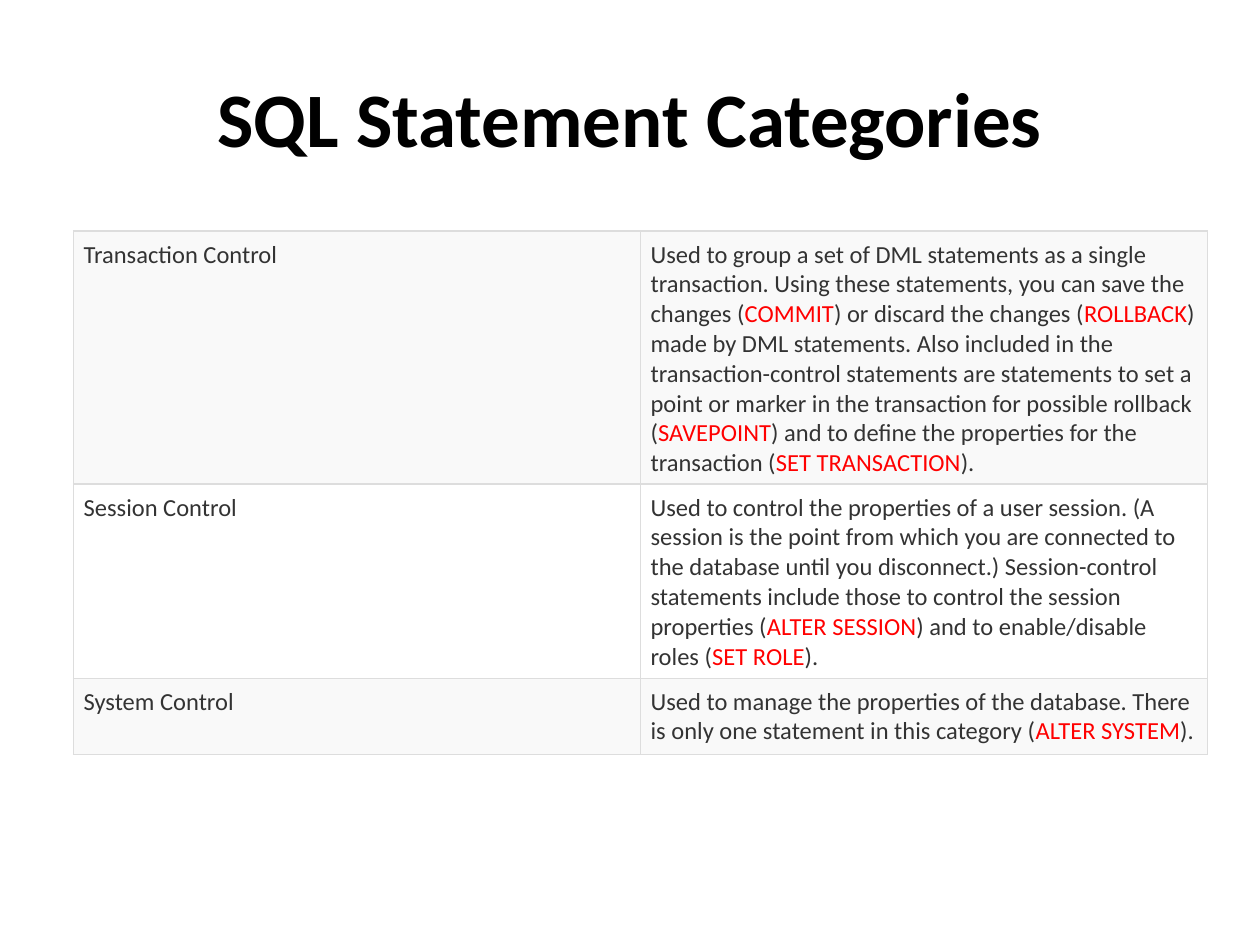
from lxml import etree
from pptx import Presentation
from pptx import util as u
from pptx.dml.color import RGBColor
from pptx.enum import text
from pptx.oxml.ns import qn

COLORS = {"title": "000000", "body": "333333", "keyword": "FF0000",
          "border": "DDDDDD", "odd_row": "F9F9F9", "even_row": "FFFFFF"}

# Each row: height, category, description with keywords between bars.
CATEGORIES = [
    (142, "Transaction Control",
     "Used to group a set of DML statements as a single transaction. Using these "
     "statements, you can save the changes (|COMMIT|) or discard the changes "
     "(|ROLLBACK|) made by DML statements. Also included in the transaction-control "
     "statements are statements to set a point or marker in the transaction for "
     "possible rollback (|SAVEPOINT|) and to define the properties for the "
     "transaction (|SET TRANSACTION|)."),
    (109, "Session Control",
     "Used to control the properties of a user session. (A session is the point from "
     "which you are connected to the database until you disconnect.) Session-control "
     "statements include those to control the session properties (|ALTER SESSION|) "
     "and to enable/disable roles (|SET ROLE|)."),
    (43, "System Control",
     "Used to manage the properties of the database. There is only one statement in "
     "this category (|ALTER SYSTEM|)."),
]


class SlideBuilder:
    def __init__(self, slide, font="Calibri"):
        self.slide = slide
        self.font = font

    def add_span(self, para, words, size, color, bold=False):
        span = para.add_run()
        span.text = words
        span.font.name = self.font
        span.font.size = u.Pt(size)
        span.font.bold = bold
        span.font.color.rgb = RGBColor.from_string(COLORS[color])

    def add_title(self, words, left, top, width, height):
        box = self.slide.shapes.add_textbox(*map(u.Pt, (left, top, width, height)))
        frame = box.text_frame
        frame.word_wrap = True
        frame.vertical_anchor = text.MSO_ANCHOR.MIDDLE
        para = frame.paragraphs[0]
        para.alignment = text.PP_ALIGN.CENTER
        self.add_span(para, words, 44, "title", bold=True)

    def add_borders(self, cell):
        """Draw a thin line on all four sides; lines must precede the fill."""
        properties = cell._tc.get_or_add_tcPr()
        for index, side in enumerate(("lnL", "lnR", "lnT", "lnB")):
            line = etree.Element(qn(f"a:{side}"), w=str(u.Pt(0.75)))
            fill = etree.SubElement(line, qn("a:solidFill"))
            etree.SubElement(fill, qn("a:srgbClr"), val=COLORS["border"])
            properties.insert(index, line)

    def fill_cell(self, cell, words, fill):
        """Write the words, colouring every part between bars as a keyword."""
        cell.margin_left = cell.margin_right = u.Pt(5.76)
        cell.margin_top = cell.margin_bottom = u.Pt(5.04)
        cell.fill.solid()
        cell.fill.fore_color.rgb = RGBColor.from_string(COLORS[fill])
        self.add_borders(cell)
        para = cell.text_frame.paragraphs[0]
        for index, part in enumerate(words.split("|")):
            self.add_span(para, part, 14, "keyword" if index % 2 else "body")

    def add_table(self, rows, left, top, width):
        height = sum(row[0] for row in rows)
        table = self.slide.shapes.add_table(
            len(rows), 2, *map(u.Pt, (left, top, width, height))).table
        table.first_row = table.horz_banding = False
        for index, (row_height, *cells) in enumerate(rows):
            table.rows[index].height = u.Pt(row_height)
            fill = "even_row" if index % 2 else "odd_row"
            for column, words in enumerate(cells):
                self.fill_cell(table.cell(index, column), words, fill)


def main():
    deck = Presentation()
    deck.slide_width, deck.slide_height = u.Pt(720), u.Pt(540)
    page = SlideBuilder(deck.slides.add_slide(deck.slide_layouts[6]))
    page.add_title("SQL Statement Categories", 36, 21.6, 648, 90)
    page.add_table(CATEGORIES, 42, 132, 648)
    deck.save("out.pptx")


if __name__ == "__main__":
    main()
